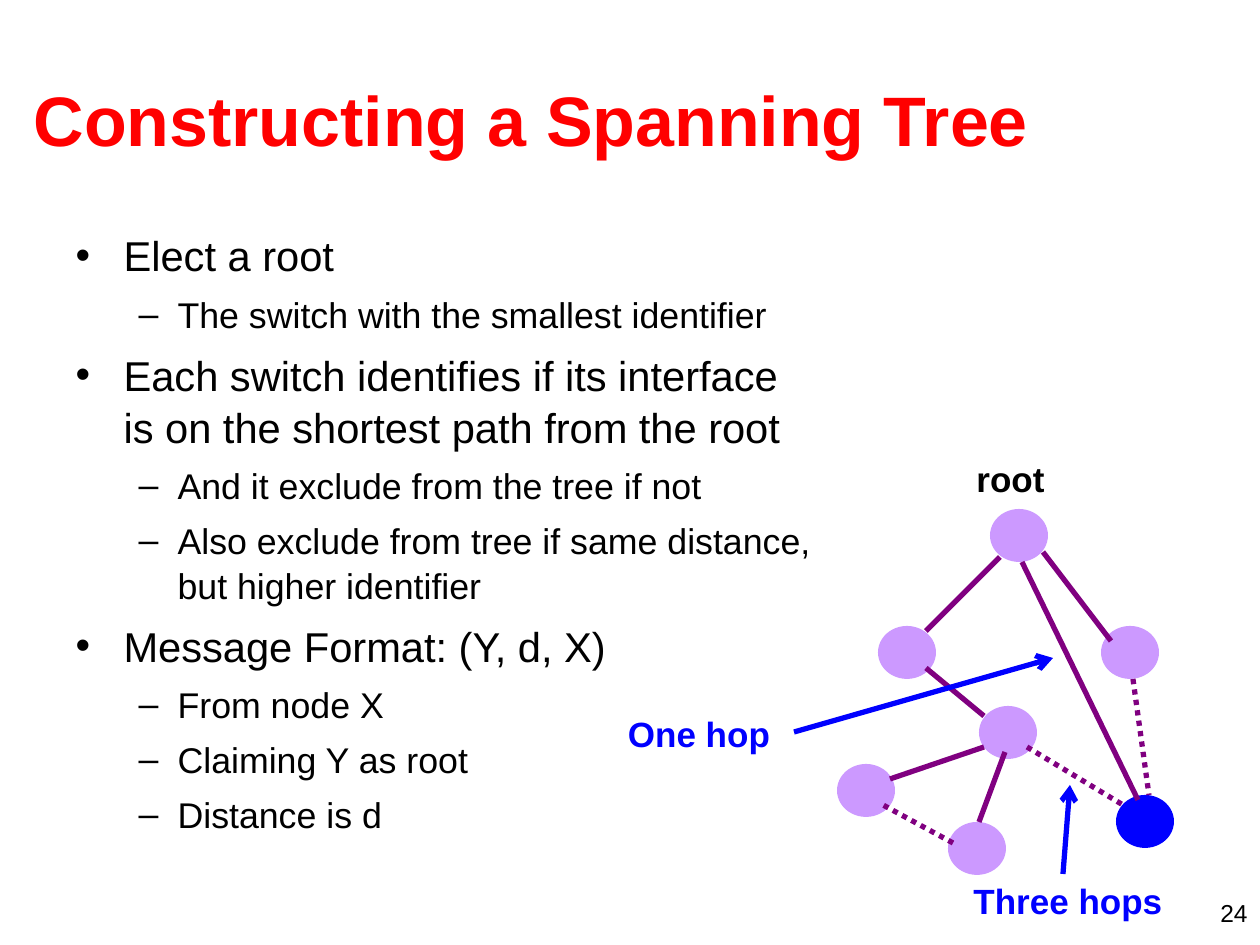
"""Builds the slide on constructing a spanning tree."""
from lxml import etree
from pptx import Presentation
from pptx import util as u
from pptx.dml.color import RGBColor
from pptx.enum import dml, shapes, text
from pptx.oxml.ns import qn

PX = 914400 / 126
COLORS = {"title": "FF0000", "text": "000000", "node": "CC99FF",
          "accent": "0000FF", "edge": "800080"}
LEVELS = [
    {"size": 23.8, "before": 7, "margin": 48, "hang": 48},
    {"size": 20.4, "before": 6, "margin": 102, "hang": 39},
]
BULLETS = [
    (0, "Elect a root"),
    (1, "The switch with the smallest identifier"),
    (0, "Each switch identifies if its interface\vis on the shortest path from the root"),
    (1, "And it exclude from the tree if not"),
    (1, "Also exclude from tree if same distance,\vbut higher identifier"),
    (0, "Message Format: (Y, d, X)"),
    (1, "From node X"),
    (1, "Claiming Y as root"),
    (1, "Distance is d"),
]
NODE_SIZE = (58, 53)
NODES = [
    (390, 59, "node"), (278, 176, "node"), (501, 176, "node"),
    (379, 256, "node"), (516, 345, "accent"), (237, 314, "node"),
    (348, 372, "node"),
]
TREE_EDGES = [
    (400, 107, 326, 181), (443, 102, 511, 191), (326, 218, 384, 266),
    (422, 112, 538, 350), (290, 329, 384, 297), (379, 372, 405, 302),
]
DROPPED_EDGES = [
    (427, 297, 523, 355), (533, 229, 549, 345), (353, 393, 283, 355),
]
ARROWS = [(194, 282, 453, 208), (463, 424, 470, 335)]
LABELS = [
    ("root", (364, 1, 93, 55), "text"),
    ("One hop", (15, 256, 168, 55), "accent"),
    ("Three hops", (361, 423, 214, 55), "accent"),
]


def px(n):
    """Turn px into EMU."""
    return u.Emu(round(n * PX))


def rgb(name):
    """Look up a colour by name."""
    return RGBColor.from_string(COLORS[name])


def apply(obj, formats):
    """Set each attribute in a dict of format values."""
    for name, value in formats.items():
        setattr(obj, name, value)


def place(sp, box):
    """Move and size a shape to a px box."""
    apply(sp, dict(zip(("left", "top", "width", "height"), map(px, box))))


def set_font(p, size, color, bold=False):
    """Format the font of a paragraph."""
    apply(p.font, {"name": "Arial", "size": u.Pt(size), "bold": bold})
    p.font.color.rgb = rgb(color)


def add_label(s, box, words, size, color, align, bold=False, wrap=False):
    """Add a one-line text box."""
    sp = s.shapes.add_textbox(*map(px, box))
    tf = sp.text_frame
    tf.word_wrap = wrap
    p = tf.paragraphs[0]
    apply(p, {"text": words, "alignment": align})
    set_font(p, size, color, bold)


def add_line(s, ends, color, dotted=False, arrow=False):
    """Add a straight line, dotted or with an arrowhead if asked."""
    sp = s.shapes.add_connector(shapes.MSO_CONNECTOR.STRAIGHT, *map(px, ends))
    sp.line.width = u.Pt(3)
    sp.line.color.rgb = rgb(color)
    if dotted:
        sp.line.dash_style = dml.MSO_LINE.ROUND_DOT
    if arrow:
        ln = sp.line._get_or_add_ln()
        etree.SubElement(ln, qn("a:tailEnd"), type="arrow")
    etree.SubElement(sp._element.spPr, qn("a:effectLst"))


def build_title(s, box):
    """Fill the title placeholder."""
    sp = s.shapes.title
    place(sp, box)
    tf = sp.text_frame
    apply(tf, {"word_wrap": True, "vertical_anchor": text.MSO_ANCHOR.MIDDLE})
    p = tf.paragraphs[0]
    apply(p, {"text": "Constructing a Spanning Tree", "alignment": text.PP_ALIGN.LEFT})
    set_font(p, 40, "title", bold=True)


def build_bullets(s, box):
    """Fill the body placeholder with the two-level list."""
    sp = s.placeholders[1]
    place(sp, box)
    tf = sp.text_frame
    apply(tf, {"word_wrap": True, "auto_size": text.MSO_AUTO_SIZE.NONE})
    for i, (level, words) in enumerate(BULLETS):
        p = tf.add_paragraph() if i else tf.paragraphs[0]
        style = LEVELS[level]
        before = style["before"] if i else 0
        apply(p, {"text": words, "level": level, "line_spacing": 1.04,
                  "space_before": u.Pt(before)})
        pPr = p._p.get_or_add_pPr()
        pPr.set("marL", str(px(style["margin"])))
        pPr.set("indent", str(-px(style["hang"])))
        set_font(p, style["size"], "text")


def build_tree(s, box):
    """Draw the network with its spanning tree, labels and arrows."""
    left, top = box[:2]

    def ends(line):
        return [n + d for n, d in zip(line, (left, top, left, top))]

    for x, y, color in NODES:
        area = (left + x, top + y, *NODE_SIZE)
        sp = s.shapes.add_shape(shapes.MSO_SHAPE.OVAL, *map(px, area))
        sp.shadow.inherit = False
        sp.fill.solid()
        sp.fill.fore_color.rgb = rgb(color)
        sp.line.fill.background()
    for line in TREE_EDGES:
        add_line(s, ends(line), "edge")
    for line in DROPPED_EDGES:
        add_line(s, ends(line), "edge", dotted=True)
    for line in ARROWS:
        add_line(s, ends(line), "accent", arrow=True)
    for words, (x, y, w, h), color in LABELS:
        add_label(s, (left + x, top + y, w, h), words, 20, color,
                  text.PP_ALIGN.CENTER, bold=True)


def main():
    """Build and save the slide."""
    prs = Presentation()
    apply(prs, {"slide_width": px(1260), "slide_height": px(945)})
    s = prs.slides.add_slide(prs.slide_layouts[1])
    build_title(s, (21, 40, 1207, 158))
    build_bullets(s, (63, 222, 1124, 622))
    build_tree(s, (600, 450, 575, 478))
    add_label(s, (966, 892, 294, 32), "24", 14, "text",
              text.PP_ALIGN.RIGHT, wrap=True)
    prs.save("out.pptx")


if __name__ == "__main__":
    main()
